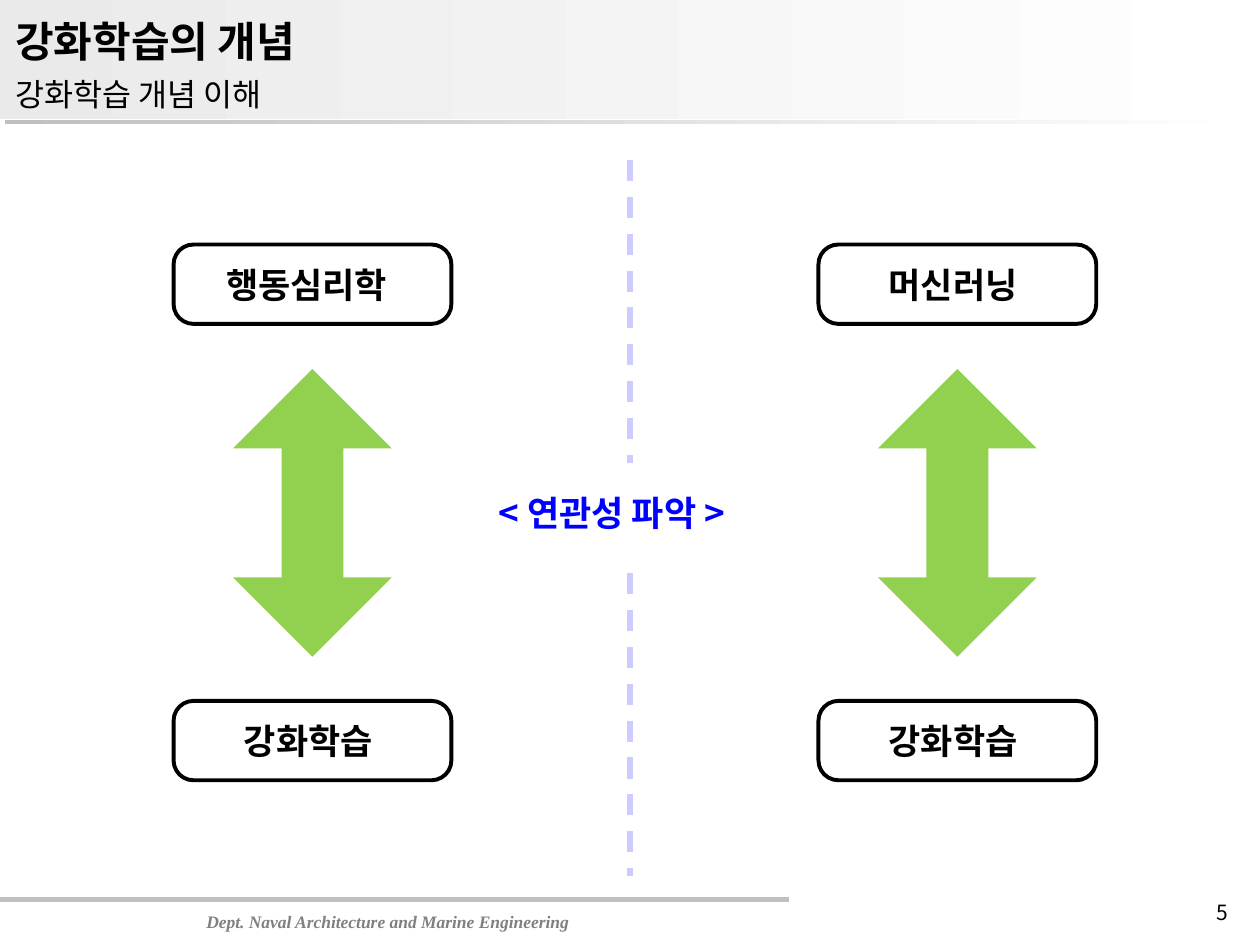
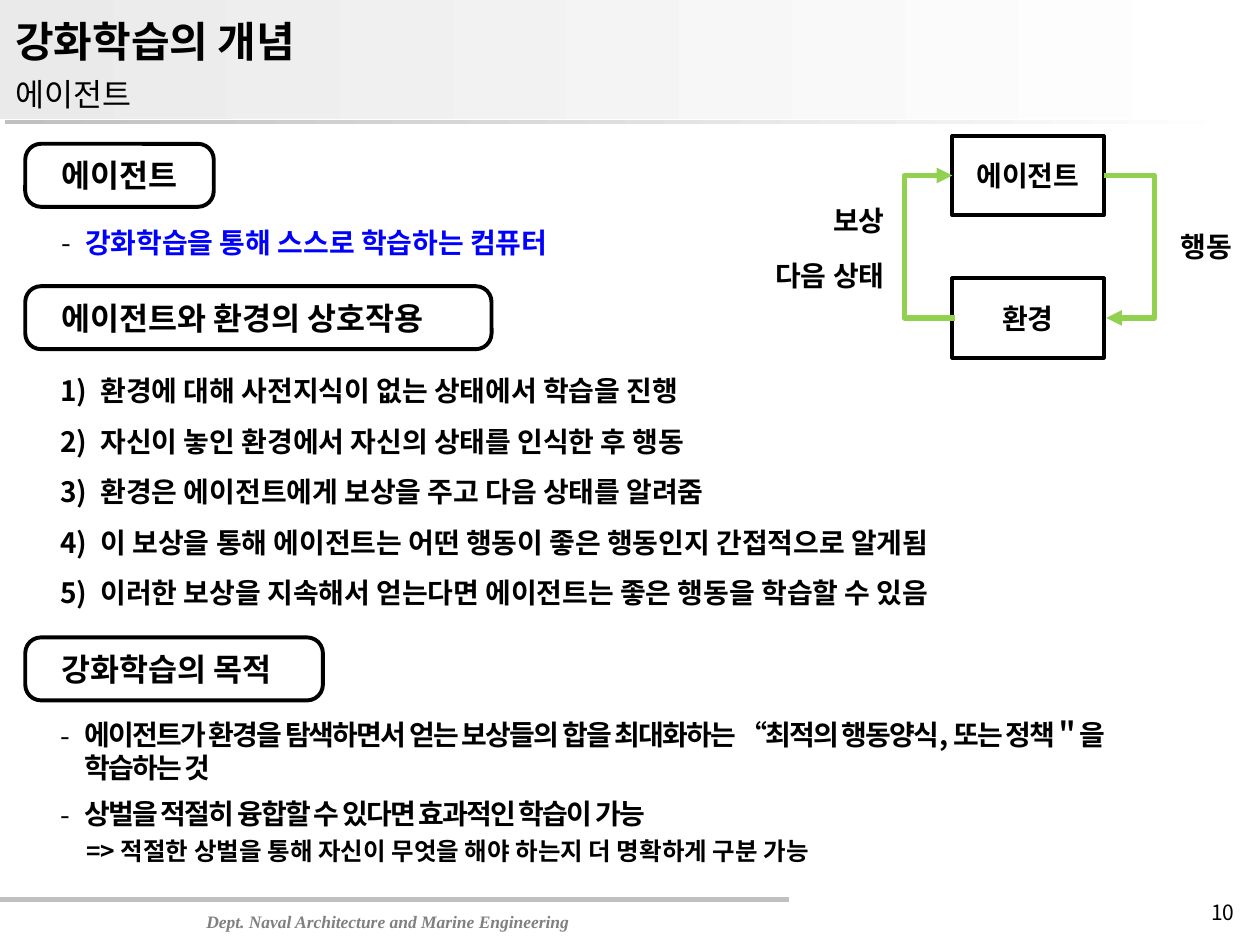
"""Build two slides on the concept of reinforcement learning."""
from lxml import etree
from pptx import Presentation
from pptx.dml.color import RGBColor
from pptx.enum.dml import MSO_LINE
from pptx.enum.shapes import MSO_CONNECTOR, MSO_SHAPE
from pptx.enum.text import MSO_ANCHOR, MSO_AUTO_SIZE, PP_ALIGN
from pptx.oxml.ns import qn
from pptx.util import Cm, Pt

BLACK = RGBColor(0, 0, 0)
WHITE = RGBColor(255, 255, 255)
BAND = RGBColor(0xEA, 0xEA, 0xEA)
RULE = RGBColor(0xC0, 0xC0, 0xC0)
GRAY = RGBColor(0x80, 0x80, 0x80)
BLUE = RGBColor(0, 0, 0xFF)
LILAC = RGBColor(0xCC, 0xCC, 0xFF)
GREEN = RGBColor(0x92, 0xD0, 0x50)
SANS = "Noto Sans CJK KR"
RECT, ROUND, UP_DOWN = MSO_SHAPE.RECTANGLE, MSO_SHAPE.ROUNDED_RECTANGLE, MSO_SHAPE.UP_DOWN_ARROW
STRAIGHT, ELBOW = MSO_CONNECTOR.STRAIGHT, MSO_CONNECTOR.ELBOW
LEFT, CENTER, RIGHT = PP_ALIGN.LEFT, PP_ALIGN.CENTER, PP_ALIGN.RIGHT
MIDDLE, TOP = MSO_ANCHOR.MIDDLE, MSO_ANCHOR.TOP
DASH = MSO_LINE.DASH
NO_FIT = MSO_AUTO_SIZE.NONE


def add_run(p, text, size, color=BLACK, bold=True, font=SANS):
    r = p.add_run()
    r.text = text
    r.font.size, r.font.bold, r.font.name = Pt(size), bold, font
    r.font.color.rgb = color
    etree.SubElement(r.font._element, qn("a:ea"), typeface=SANS)
    return r


def add_box(s, kind, x, y, w, h, align=LEFT):
    place = Cm(x), Cm(y), Cm(w), Cm(h)
    if kind is None:
        sp = s.shapes.add_textbox(*place)
    else:
        sp = s.shapes.add_shape(kind, *place)
        sp.shadow.inherit = False
        sp.fill.background()
        sp.line.color.rgb = BLACK
        sp.line.width = Pt(2.25)
    if kind == ROUND:
        sp.adjustments[0] = 0.25
    tf = sp.text_frame
    tf.word_wrap = True
    tf.vertical_anchor = MIDDLE
    tf.paragraphs[0].alignment = align
    return sp


prs = Presentation()
prs.slide_width, prs.slide_height = Cm(25.4), Cm(19.05)
layout = prs.slide_layouts[0]
for ph, y, h in ((layout.placeholders[0], 0.18, 1.3), (layout.placeholders[1], 1.4, 1)):
    ph.left, ph.top, ph.width, ph.height = Cm(0.05), Cm(y), Cm(22.86), Cm(h)

slides = []
for subtitle, number in (("강화학습 개념 이해", "5"), ("에이전트", "10")):
    s = prs.slides.add_slide(layout)
    slides.append(s)
    heads = ((s.shapes.title, "강화학습의 개념", 24, True, "Calibri"),
             (s.placeholders[1], subtitle, 18, False, SANS))
    for ph, text, size, bold, font in heads:
        tf = ph.text_frame
        tf.auto_size = NO_FIT
        tf.vertical_anchor = MIDDLE
        p = tf.paragraphs[0]
        p.alignment, p.space_before = LEFT, Pt(0)
        add_run(p, text, size, bold=bold, font=font)
    sp = add_box(s, None, 23.9, 17.73, 1.5, 1.32, CENTER)
    add_run(sp.text_frame.paragraphs[0], number, 12, bold=False)

concept, agent = slides
connectors = []

master_parts = []
for x, y, w, h, color in ((0, 0, 25.1, 2.41, BAND), (0.1, 2.41, 25, 0.1, RULE)):
    sp = add_box(concept, RECT, x, y, w, h)
    sp.line.fill.background()
    sp.fill.gradient()
    sp.fill.gradient_angle = 0
    for stop, stop_color in zip(sp.fill.gradient_stops, (color, WHITE)):
        stop.color.rgb = stop_color
    master_parts.append(sp)
footer_rule = concept.shapes.add_connector(STRAIGHT, 0, Cm(18.14), Cm(15.9), Cm(18.14))
connectors.append((footer_rule, RULE))
footer = add_box(concept, None, 3.91, 18.24, 8.5, 0.69)
r = add_run(footer.text_frame.paragraphs[0], "Dept. Naval Architecture and Marine Engineering",
            10, GRAY, font="Times New Roman")
r.font.italic = True
for sp in master_parts + [footer_rule, footer]:
    layout.shapes.element.append(sp.element)

s = concept
for x, field, inset in ((3.5, "행동심리학", 0.94), (16.5, "머신러닝", 1.3)):
    for y, text, margin in ((4.93, field, inset), (14.13, "강화학습", 1.3)):
        sp = add_box(s, ROUND, x, y, 5.6, 1.6)
        sp.text_frame.margin_left = Cm(margin)
        sp.text_frame.margin_right = 0
        add_run(sp.text_frame.paragraphs[0], text, 20)
    arrow = add_box(s, UP_DOWN, x + 1.2, 7.44, 3.2, 5.8)
    arrow.adjustments[0], arrow.adjustments[1] = 0.33, 0.39
    arrow.fill.solid()
    arrow.fill.fore_color.rgb = GREEN
    arrow.line.fill.background()
for y in (3.23, 11.56):
    divider = s.shapes.add_connector(STRAIGHT, Cm(12.7), Cm(y), Cm(12.7), Cm(y + 6.1))
    divider.line.dash_style = DASH
    connectors.append((divider, LILAC))
sp = add_box(s, None, 9.8, 9.78, 5.8, 1.12)
add_run(sp.text_frame.paragraphs[0], "< 연관성 파악 >", 20, BLUE)

s = agent
for y, w, text in ((2.9, 3.8, "에이전트"),
                   (5.77, 9.4, "에이전트와 환경의 상호작용"),
                   (12.85, 6, "강화학습의 목적")):
    sp = add_box(s, ROUND, 0.51, y, w, 1.27)
    sp.text_frame.margin_left = Cm(0.64)
    sp.text_frame.margin_right = 0
    add_run(sp.text_frame.paragraphs[0], text, 18)

for y, text in ((2.74, "에이전트"), (5.61, "환경")):
    sp = add_box(s, RECT, 19.2, y, 3.05, 1.6, CENTER)
    add_run(sp.text_frame.paragraphs[0], text, 16)
for x1, y1, x2, y2 in ((22.25, 3.54, 22.3, 6.41), (19.25, 6.41, 19.2, 3.54)):
    loop = s.shapes.add_connector(ELBOW, Cm(x1), Cm(y1), Cm(x2), Cm(y2))
    guides = loop.element.find(".//" + qn("a:avLst"))
    etree.SubElement(guides, qn("a:gd"), name="adj1", fmla="val 2040000")
    connectors.append((loop, GREEN))
sp = add_box(s, None, 23.55, 4.5, 1.85, 0.94)
add_run(sp.text_frame.paragraphs[0], "행동", 16)

DASH_MARK = ("buChar", {"char": "-"}, 0.48)
NUMBER_MARK = ("buAutoNum", {"type": "arabicParenR"}, 0.81)
texts = (
    (0.99, 4.42, 11.5, 0.94, LEFT, BLUE, 0,
     ((DASH_MARK, 16, 0, "강화학습을 통해 스스로 학습하는 컴퓨터"),)),
    (0.97, 7.42, 21, 5.2, LEFT, BLACK, 0, tuple((NUMBER_MARK, 16, 9.8, line) for line in (
        "환경에 대해 사전지식이 없는 상태에서 학습을 진행",
        "자신이 놓인 환경에서 자신의 상태를 인식한 후 행동",
        "환경은 에이전트에게 보상을 주고 다음 상태를 알려줌",
        "이 보상을 통해 에이전트는 어떤 행동이 좋은 행동인지 간접적으로 알게됨",
        "이러한 보상을 지속해서 얻는다면 에이전트는 좋은 행동을 학습할 수 있음"))),
    (0.97, 14.34, 24.4, 3.3, LEFT, BLACK, -100, (
        (DASH_MARK, 16, 0, "에이전트가 환경을 탐색하면서 얻는 보상들의 합을 최대화하는 "
                           "“최적의 행동양식, 또는 정책＂을\n학습하는 것"),
        (DASH_MARK, 16, 7.3, "상벌을 적절히 융합할 수 있다면 효과적인 학습이 가능"),
        (None, 14, 1.4, "=> 적절한 상벌을 통해 자신이 무엇을 해야 하는지 더 명확하게 구분 가능"))),
    (14.08, 3.99, 4, 2.1, RIGHT, BLACK, 0,
     ((None, 16, 0, "보상"), (None, 16, 12.4, "다음 상태"))),
)
for x, y, w, h, align, color, spacing, items in texts:
    tf = add_box(s, None, x, y, w, h).text_frame
    tf.vertical_anchor = TOP
    for i, (mark, size, gap, text) in enumerate(items):
        p = tf.add_paragraph() if i else tf.paragraphs[0]
        pPr = p._p.get_or_add_pPr()
        if mark:
            tag, attributes, indent = mark
            pPr.set("marL", str(Cm(indent)))
            pPr.set("indent", str(-Cm(indent)))
            mark_color = etree.SubElement(pPr, qn("a:buClr"))
            etree.SubElement(mark_color, qn("a:srgbClr"), val=str(BLACK))
            etree.SubElement(pPr, qn("a:buFont"), typeface=SANS)
            etree.SubElement(pPr, qn("a:" + tag), attributes)
        elif align == LEFT:
            pPr.set("marL", str(Cm(0.52)))
        p.alignment = align
        p.line_spacing, p.space_before = Pt(19), Pt(gap if i else 0)
        for j, line in enumerate(text.split("\n")):
            if j:
                p.add_line_break()
            r = add_run(p, line, size, color)
            if mark and spacing:
                r.font._element.set("spc", str(spacing))

for line, color in connectors:
    line.line.color.rgb = color
    line.line.width = Pt(3)
    if color == GREEN:
        etree.SubElement(line.element.find(".//" + qn("a:ln")), qn("a:tailEnd"), type="triangle")
    etree.SubElement(line.element.spPr, qn("a:effectLst"))

prs.save("out.pptx")
